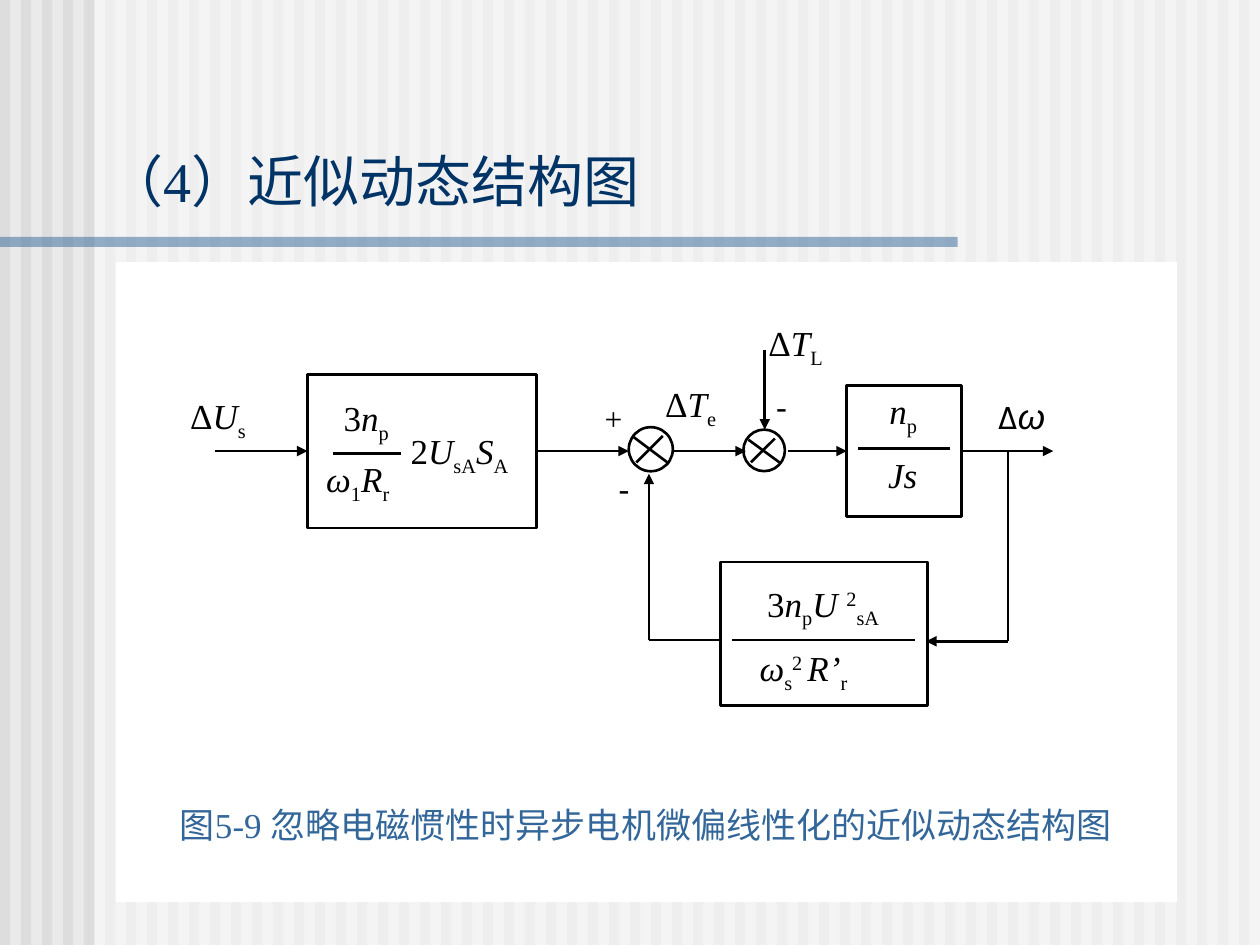
from lxml import etree
from pptx import Presentation
from pptx.dml import color
from pptx.enum import shapes, text
from pptx.oxml import ns
from pptx.util import Inches, Pt

BLACK = "000000"
SERIF = "Times New Roman"
SIGNAL_Y = 3.58
BASELINES = {"sub": "-25000", "sup": "30000"}


def rgb(value):
    return color.RGBColor.from_string(value)


def add_panel(slide, left, top, width, height, fill, alpha=None):
    panel = slide.shapes.add_shape(
        shapes.MSO_SHAPE.RECTANGLE, Inches(left), Inches(top), Inches(width), Inches(height))
    panel.shadow.inherit = False
    panel.fill.solid()
    panel.fill.fore_color.rgb = rgb(fill)
    panel.line.fill.background()
    if alpha is not None:
        fill_color = panel._element.spPr.find(".//" + ns.qn("a:srgbClr"))
        etree.SubElement(fill_color, ns.qn("a:alpha")).set("val", str(alpha * 1000))
    return panel


def add_outline(slide, kind, left, top, width, height):
    shape = slide.shapes.add_shape(
        kind, Inches(left), Inches(top), Inches(width), Inches(height))
    shape.shadow.inherit = False
    shape.fill.background()
    shape.line.color.rgb = rgb(BLACK)
    shape.line.width = Pt(1.5)
    return shape


def add_block(slide, left, top, width, height):
    return add_outline(slide, shapes.MSO_SHAPE.RECTANGLE, left, top, width, height)


def add_line(slide, start, end, arrow=False, source=None, target=None):
    line = slide.shapes.add_connector(
        shapes.MSO_CONNECTOR.STRAIGHT, *[Inches(value) for value in (*start, *end)])
    if source is not None:
        line.begin_connect(source, 3)
    if target is not None:
        line.end_connect(target, 1)
    line.line.color.rgb = rgb(BLACK)
    line.line.width = Pt(1.5)
    if arrow:
        etree.SubElement(line.line._get_or_add_ln(), ns.qn("a:tailEnd")).set("type", "triangle")
    etree.SubElement(line._element.spPr, ns.qn("a:effectLst"))
    return line


def add_summing_point(slide, left, top, size):
    add_outline(slide, shapes.MSO_SHAPE.OVAL, left, top, size, size)
    add_line(slide, (left + 0.04, top + 0.08), (left + size - 0.03, top + size - 0.06))
    add_line(slide, (left + 0.06, top + size - 0.07), (left + size - 0.08, top + 0.07))


def format_font(font, size, name, fill):
    font.size = Pt(size)
    font.name = name
    font.color.rgb = rgb(fill)


def add_text(slide, left, top, width, height, parts, size=20, name=SERIF, fill=BLACK):
    box = slide.shapes.add_textbox(Inches(left), Inches(top), Inches(width), Inches(height))
    frame = box.text_frame
    frame.word_wrap = True
    frame.auto_size = text.MSO_AUTO_SIZE.SHAPE_TO_FIT_TEXT
    paragraph = frame.paragraphs[0]
    for content, style in parts:
        run = paragraph.add_run()
        run.text = content
        format_font(run.font, size, name, fill)
        run.font.italic = style == "italic"
        if style in BASELINES:
            run.font._element.set("baseline", BASELINES[style])
    return box


def add_backdrop(slide):
    slide.background.fill.solid()
    slide.background.fill.fore_color.rgb = rgb("EAEAEA")
    for index in range(60):
        add_panel(slide, index / 6, 0, 0.08, 7.5, "DDDDDD")
    add_panel(slide, 0.75, 0, 9.25, 7.5, "FFFFFF", 50)
    add_panel(slide, 0, 1.88, 7.6, 0.08, "336699", 50)
    add_panel(slide, 0.92, 2.08, 8.42, 5.08, "FFFFFF")


def set_title(slide, content):
    title = slide.shapes.title
    title.left, title.top, title.width, title.height = (
        Inches(value) for value in (0.75, 1.11, 8.93, 0.64))
    frame = title.text_frame
    frame.text = content
    frame.word_wrap = True
    frame.auto_size = text.MSO_AUTO_SIZE.NONE
    frame.vertical_anchor = text.MSO_ANCHOR.BOTTOM
    paragraph = frame.paragraphs[0]
    paragraph.alignment = text.PP_ALIGN.LEFT
    format_font(paragraph.runs[0].font, 32, SERIF, "003366")
    slide.shapes._spTree.append(title._element)


def add_formulas(slide):
    formulas = [
        (2.63, 3.1, 0.64, [("3", ""), ("n", "italic"), ("p", "sub")]),
        (2.49, 3.58, 1.05, [("ω", "italic"), ("1", "sub"), ("R", "italic"), ("r", "sub")]),
        (3.16, 3.36, 1.09,
         [("2", ""), ("U", "italic"), ("sA", "sub"), ("S", "italic"), ("A", "sub")]),
        (5.99, 4.57, 1.46,
         [("3", ""), ("n", "italic"), ("p", "sub"), ("U ", "italic"), ("2", "sup"), ("sA", "sub")]),
        (5.93, 5.08, 1.27,
         [("ω", "italic"), ("s", "sub"), ("2 ", "sup"), ("R’", "italic"), ("r", "sub")]),
        (6.96, 3.04, 0.54, [("n", "italic"), ("p", "sub")]),
        (6.95, 3.55, 0.66, [("Js", "italic")]),
        (1.41, 3.08, 1.09, [("Δ", ""), ("U", "italic"), ("s", "sub")]),
        (5.18, 2.99, 1.09, [("Δ", ""), ("T", "italic"), ("e", "sub")]),
        (6, 2.5, 1.09, [("Δ", ""), ("T", "italic"), ("L", "sub")]),
    ]
    for left, top, width, parts in formulas:
        add_text(slide, left, top, width, 0.48, parts)
    speed = add_text(slide, 7.82, 3.08, 1.09, 0.44, [("Δ", ""), ("ω", "italic")], name="Karla")
    speed.text_frame.paragraphs[0].runs[1].font.name = "Arial"
    for left, right, y in [(2.64, 3.18, 3.6), (5.81, 7.26, 5.08), (6.81, 7.54, 3.56)]:
        add_line(slide, (left, y), (right, y))


def add_signals(slide, gain, plant):
    add_line(slide, (1.71, SIGNAL_Y), (2.44, SIGNAL_Y), True, target=gain)
    add_line(slide, (4.26, SIGNAL_Y), (4.99, SIGNAL_Y), True, source=gain)
    add_line(slide, (5.33, SIGNAL_Y), (5.92, SIGNAL_Y), True)
    add_line(slide, (6.25, SIGNAL_Y), (6.72, SIGNAL_Y), True, target=plant)
    add_line(slide, (7.63, SIGNAL_Y), (8.36, SIGNAL_Y), True, source=plant)
    add_line(slide, (6.07, 2.78), (6.07, 3.41), True)
    add_line(slide, (8, SIGNAL_Y), (8, 5.09))
    add_line(slide, (8, 5.09), (7.35, 5.09), True)
    add_line(slide, (5.72, 5.08), (5.15, 5.08))
    add_line(slide, (5.15, 5.08), (5.15, 3.76), True)


def add_signs(slide):
    add_text(slide, 4.7, 3.12, 0.55, 0.4, [("+", "")], 18)
    for left, top, width in [(4.81, 3.68, 0.45), (6.06, 3.03, 0.27)]:
        add_text(slide, left, top, width, 0.4, [("-", "")], 18, "DejaVu Sans")


def main():
    presentation = Presentation()
    presentation.slide_width = Inches(10)
    presentation.slide_height = Inches(7.5)
    slide = presentation.slides.add_slide(presentation.slide_layouts[5])
    add_backdrop(slide)
    set_title(slide, "（4）近似动态结构图")
    gain = add_block(slide, 2.44, 2.97, 1.82, 1.22)
    plant = add_block(slide, 6.72, 3.06, 0.91, 1.04)
    add_block(slide, 5.72, 4.46, 1.64, 1.14)
    add_summing_point(slide, 4.99, 3.39, 0.35)
    add_summing_point(slide, 5.9, 3.41, 0.33)
    add_formulas(slide)
    add_signals(slide, gain, plant)
    add_signs(slide)
    caption = "图5-9 忽略电磁惯性时异步电机微偏线性化的近似动态结构图"
    add_text(slide, 1.33, 6.33, 7.67, 0.77, [(caption, "")], fill="336699")
    presentation.save("out.pptx")


if __name__ == "__main__":
    main()
